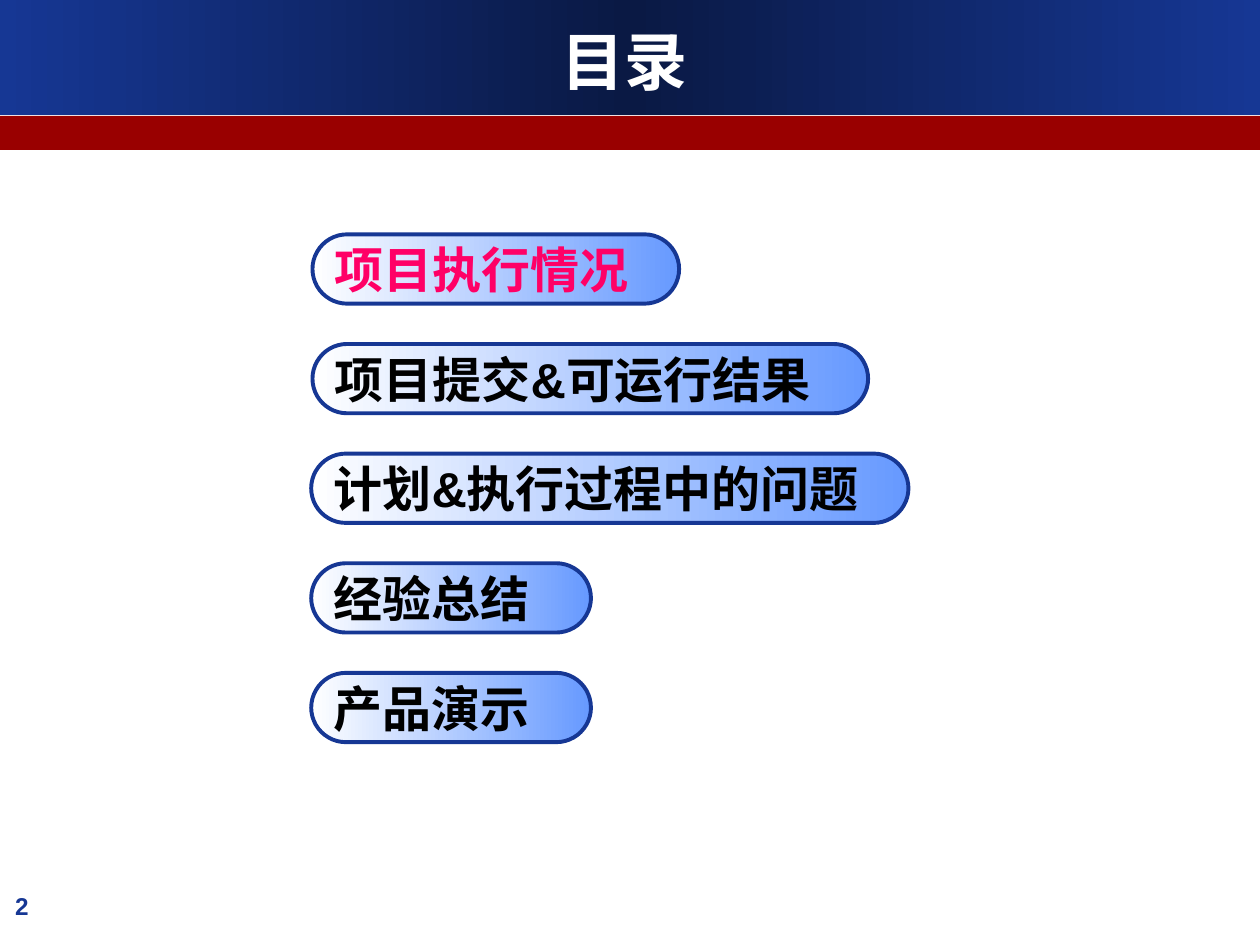
"""Build the contents slide with a title band and five agenda pills."""
import copy

import pptx
import pptx.dml.color
import pptx.enum.shapes
import pptx.enum.text
import pptx.oxml
import pptx.oxml.ns
import pptx.util

Inches = pptx.util.Inches
Shape = pptx.enum.shapes.MSO_SHAPE
Align = pptx.enum.text.PP_ALIGN
Anchor = pptx.enum.text.MSO_ANCHOR
qn = pptx.oxml.ns.qn

HUES = {
    "navy": "163794",
    "night": "0A1944",
    "red": "990000",
    "sky": "6699FF",
    "white": "FFFFFF",
    "pink": "FF0066",
    "black": "000000",
}
HUES = {name: pptx.dml.color.RGBColor.from_string(code) for name, code in HUES.items()}
HAN = "Noto Sans CJK SC"


def blend(shape, hues):
    shape.fill.gradient()
    shape.fill.gradient_angle = 180
    stops = shape._element.spPr.find(".//" + qn("a:gsLst"))
    while len(stops) < len(hues):
        stops.append(copy.deepcopy(stops[-1]))
    for i, stop in enumerate(shape.fill.gradient_stops):
        stop.position = i / (len(hues) - 1)
        stop.color.rgb = HUES[hues[i]]


def write(shape, text, size, hue, face="Arial", align=Align.LEFT):
    frame = shape.text_frame
    frame.word_wrap = True
    para = frame.paragraphs[0]
    para.alignment = align
    run = para.add_run()
    run.text = text
    run.font.size = pptx.util.Pt(size)
    run.font.bold = True
    run.font.name = face
    run.font.color.rgb = HUES[hue]
    east = pptx.oxml.parse_xml(f'<a:ea {pptx.oxml.ns.nsdecls("a")} typeface="{HAN}"/>')
    run.font._element.find(qn("a:latin")).addnext(east)
    return frame


deck = pptx.Presentation()
deck.slide_width, deck.slide_height = Inches(10), Inches(7.5)
slide = deck.slides.add_slide(deck.slide_layouts[6])
shapes = slide.shapes

band = shapes.add_shape(Shape.RECTANGLE, 0, 0, Inches(10), Inches(0.91))
band.shadow.inherit = False
band.line.fill.background()
blend(band, ["navy", "night", "navy"])

strip = shapes.add_shape(Shape.RECTANGLE, 0, Inches(0.92), Inches(10), Inches(0.27))
strip.shadow.inherit = False
strip.line.fill.background()
strip.fill.solid()
strip.fill.fore_color.rgb = HUES["red"]

page = shapes.add_textbox(Inches(-0.03), Inches(7.07), Inches(0.85), Inches(0.35))
frame = write(page, "2", 13.9, "navy")
frame.margin_left = Inches(0.15)
frame.paragraphs[0].line_spacing = 0.8

title = shapes.add_textbox(Inches(0.33), Inches(0.17), Inches(9.25), Inches(0.62))
frame = write(title, "目录", 36, "white", HAN, Align.CENTER)
frame.vertical_anchor = Anchor.MIDDLE

items = [
    ("项目执行情况", 2.48, 2.91, "pink"),
    ("项目提交&可运行结果", 2.48, 4.41, "black"),
    ("计划&执行过程中的问题", 2.47, 4.74, "black"),
    ("经验总结", 2.47, 2.22, "black"),
    ("产品演示", 2.47, 2.22, "black"),
]
for i, (text, left, width, hue) in enumerate(items):
    top = 1.86 + 0.87 * i
    pill = shapes.add_shape(
        Shape.ROUNDED_RECTANGLE, Inches(left), Inches(top), Inches(width), Inches(0.55)
    )
    pill.adjustments[0] = 0.5
    pill.shadow.inherit = False
    blend(pill, ["sky", "white"])
    pill.line.color.rgb = HUES["navy"]
    pill.line.width = pptx.util.Pt(2.25)
    frame = write(pill, text, 28, hue)
    frame.vertical_anchor = Anchor.MIDDLE
    frame.margin_right = 0

deck.save("out.pptx")
